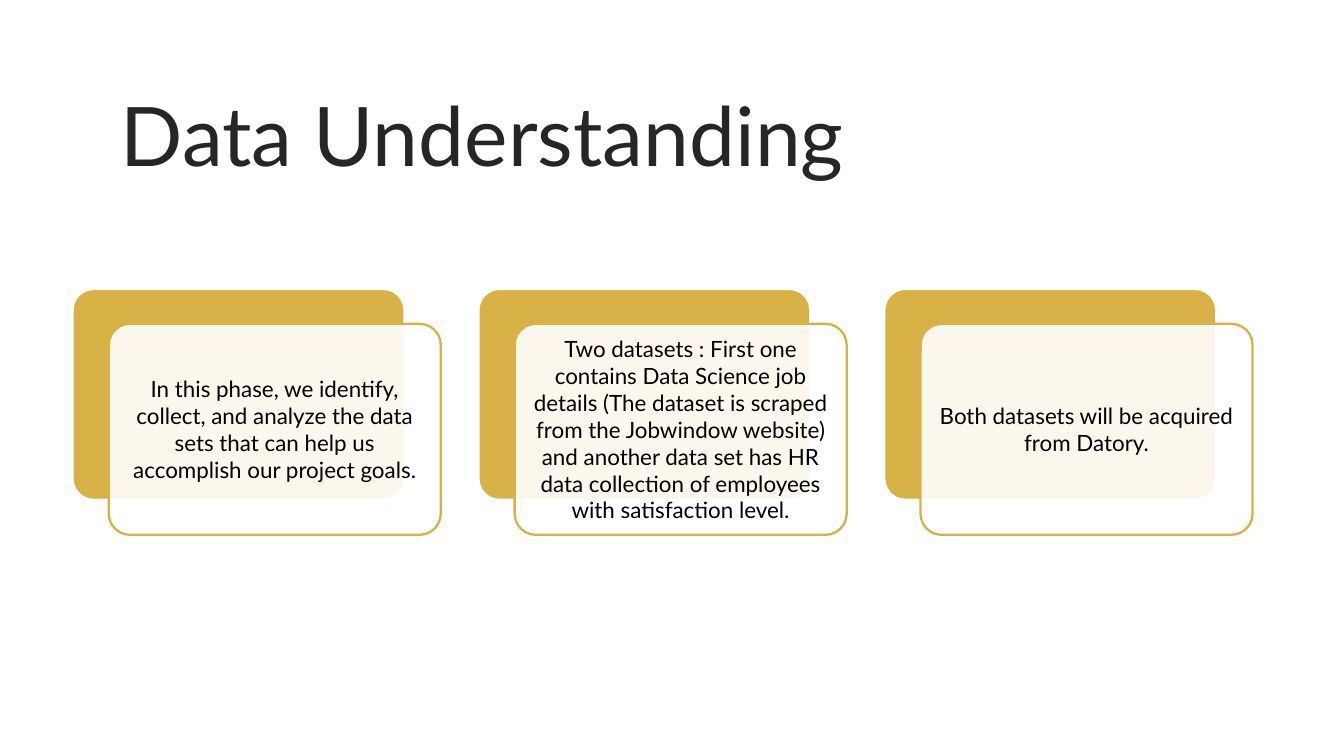
import pptx
import pptx.util
import pptx.dml.color
import pptx.enum.shapes
import pptx.enum.text
import pptx.oxml.ns
from lxml import etree

WIDTH = 10
HEIGHT = WIDTH * 9 / 16
LEFT, TOP, PITCH = 0.54, 2.15, 3.02
CARD_W, CARD_H = 2.47, 1.57
OFFSET_X, OFFSET_Y = 0.27, 0.26
PAD = 0.05
FONT = "Lato"
COLORS = {"gold": "D9B247", "white": "FFFFFF", "title": "262626", "body": "000000"}
CARDS = [
    "In this phase, we identify, collect, and analyze the data sets that can help us "
    "accomplish our project goals.",
    "Two datasets : First one contains Data Science job details (The dataset is scraped "
    "from the Jobwindow website) and another data set has HR data collection of employees "
    "with satisfaction level.",
    "Both datasets will be acquired from Datory.",
]


def rgb(name):
    return pptx.dml.color.RGBColor.from_string(COLORS[name])


def box(x, y, w, h):
    return [pptx.util.Inches(v) for v in (x, y, w, h)]


def add_panel(s, x, y, fill, line, opacity=100):
    kind = pptx.enum.shapes.MSO_SHAPE.ROUNDED_RECTANGLE
    sp = s.shapes.add_shape(kind, *box(x, y, CARD_W, CARD_H))
    sp.shadow.inherit = False
    sp.adjustments[0] = 0.1
    sp.fill.solid()
    sp.fill.fore_color.rgb = rgb(fill)
    sp.line.color.rgb = rgb(line)
    sp.line.width = pptx.util.Pt(1.25)
    if opacity < 100:
        color = sp.fill._xPr.find(".//" + pptx.oxml.ns.qn("a:srgbClr"))
        alpha = etree.SubElement(color, pptx.oxml.ns.qn("a:alpha"))
        alpha.set("val", str(opacity * 1000))


def add_text(s, bounds, text, size, color, inset, anchor, align, after=0):
    tf = s.shapes.add_textbox(*box(*bounds)).text_frame
    tf.word_wrap = True
    tf.vertical_anchor = anchor
    tf.margin_left = tf.margin_right = pptx.util.Inches(inset)
    tf.margin_top = tf.margin_bottom = pptx.util.Inches(inset)
    p = tf.paragraphs[0]
    p.alignment = align
    p.space_after = pptx.util.Pt(after)
    r = p.add_run()
    r.text = text
    r.font.name = FONT
    r.font.size = pptx.util.Pt(size)
    r.font.color.rgb = rgb(color)


def add_card(s, column, text):
    x = LEFT + column * PITCH
    front_x, front_y = x + OFFSET_X, TOP + OFFSET_Y
    add_panel(s, x, TOP, "gold", "white")
    add_panel(s, front_x, front_y, "white", "gold", opacity=90)
    bounds = (front_x + PAD, front_y + PAD, CARD_W - 2 * PAD, CARD_H - 2 * PAD)
    add_text(s, bounds, text, 12, "body", PAD,
             pptx.enum.text.MSO_ANCHOR.MIDDLE, pptx.enum.text.PP_ALIGN.CENTER, after=4.2)


def main():
    prs = pptx.Presentation()
    prs.slide_width = pptx.util.Inches(WIDTH)
    prs.slide_height = pptx.util.Inches(HEIGHT)
    s = prs.slides.add_slide(prs.slide_layouts[6])
    add_text(s, (0.8, 0.53, 8.41, 1.05), "Data Understanding", 44, "title", 0.1,
             pptx.enum.text.MSO_ANCHOR.TOP, pptx.enum.text.PP_ALIGN.LEFT)
    for column, text in enumerate(CARDS):
        add_card(s, column, text)
    prs.save("out.pptx")


if __name__ == "__main__":
    main()
